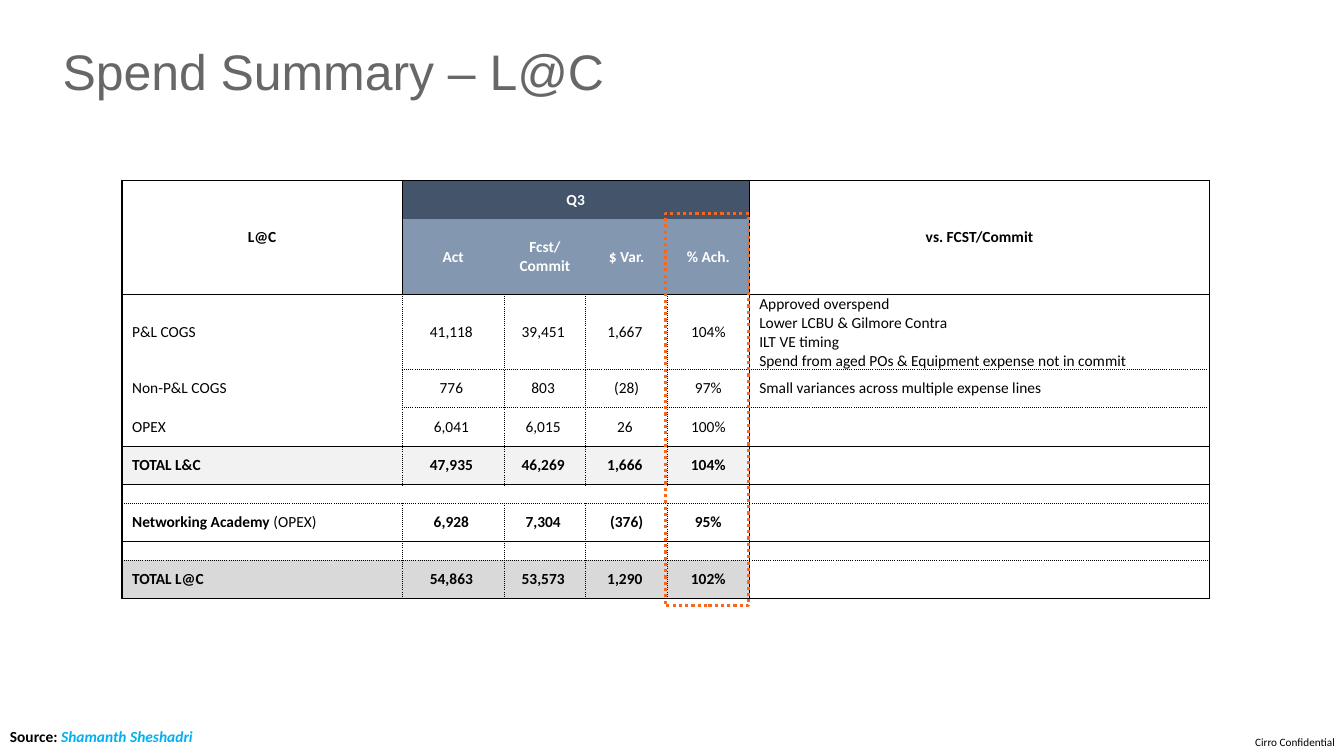
import pptx
import pptx.util
import pptx.dml.color
import pptx.enum.dml
import pptx.enum.shapes
import pptx.enum.text
import pptx.oxml.ns
import lxml.etree

COLORS = {
    "black": "000000", "white": "FFFFFF", "title": "676767", "navy": "44546A",
    "slate": "8497B0", "light": "F2F2F2", "grey": "D9D9D9",
    "orange": "FA661C", "cyan": "00B0F0",
}
ALIGN = pptx.enum.text.PP_ALIGN
ANCHOR = pptx.enum.text.MSO_ANCHOR

COLUMNS = [20.85, 7.58, 6.08, 6.08, 6.08, 34.28]
HEIGHTS = [5.1, 10, 9.87, 5.1, 5.1, 5.1, 2.5, 5, 2.5, 5.1]
OVERSPEND = ("Approved overspend\nLower LCBU & Gilmore Contra\nILT VE timing\n"
             "Spend from aged POs & Equipment expense not in commit")
BLANK = [""] * 6
SPEND = [
    ["L@C", "Q3", "", "", "", "vs. FCST/Commit"],
    ["", "Act", "Fcst/\vCommit", "$ Var.", "% Ach.", ""],
    ["P&L COGS", "41,118 ", "39,451 ", "1,667 ", "104%", OVERSPEND],
    ["Non-P&L COGS", "776 ", "803 ", "(28)", "97%",
     "Small variances across multiple expense lines"],
    ["OPEX", "6,041 ", "6,015 ", "26 ", "100%", ""],
    ["TOTAL L&C", "47,935 ", "46,269 ", "1,666 ", "104%", ""],
    BLANK,
    [[("Networking Academy", {}), (" (OPEX)", {"bold": False})],
     "6,928 ", "7,304 ", "(376)", "95%", ""],
    BLANK,
    ["TOTAL L@C", "54,863 ", "53,573 ", "1,290 ", "102%", ""],
]
MERGES = [((0, 0), (1, 0)), ((0, 1), (0, 4)), ((0, 5), (1, 5))]
ROW_FILLS = {0: "navy", 1: "slate", 5: "light", 9: "grey"}
BOLD_ROWS = {0, 1, 5, 7, 9}
SOLID, THIN, DOTTED = (1, "solid"), (0.5, "solid"), (0.5, "sysDot")
LEVELS = [SOLID, None, SOLID, DOTTED, DOTTED, THIN, SOLID, DOTTED, THIN, DOTTED, SOLID]


def level_rule(edge, column):
    return None if edge in (3, 4) and column == 0 else LEVELS[edge]


def upright_rule(row, edge):
    if edge in (0, 5, 6):
        return SOLID
    if row < 2:
        return SOLID if edge == 1 else None
    return None if row == 6 else DOTTED


def write(frame, text, *, size=11, font="Calibri", color="black", bold=False,
          italic=False, align=ALIGN.LEFT, anchor=ANCHOR.TOP, margins=(0, 0, 0, 0),
          spacing=None, wrap=True):
    frame.word_wrap = wrap
    frame.vertical_anchor = anchor
    (frame.margin_left, frame.margin_top, frame.margin_right,
     frame.margin_bottom) = [pptx.util.Inches(margin) for margin in margins]
    lines = [text] if isinstance(text, list) else [[(line, {})] for line in text.split("\n")]
    for index, line in enumerate(lines):
        para = frame.add_paragraph() if index else frame.paragraphs[0]
        para.alignment = align
        para.line_spacing = spacing
        for words, changes in line:
            look = {"bold": bold, "italic": italic, "color": color, **changes}
            for part, piece in enumerate(words.split("\v")):
                if part:
                    para.add_line_break()
                span = para.add_run()
                span.text = piece
                span.font.name = font
                span.font.size = pptx.util.Pt(size)
                span.font.bold = look["bold"]
                span.font.italic = look["italic"]
                span.font.color.rgb = pptx.dml.color.RGBColor.from_string(COLORS[look["color"]])


def draw_border(cell, side, rule):
    properties = cell._tc.get_or_add_tcPr()
    name = pptx.oxml.ns.qn
    line = lxml.etree.SubElement(properties, name("a:" + side))
    if rule is None:
        lxml.etree.SubElement(line, name("a:noFill"))
        return
    width, dash = rule
    line.set("w", str(int(pptx.util.Pt(width))))
    fill = lxml.etree.SubElement(line, name("a:solidFill"))
    lxml.etree.SubElement(fill, name("a:srgbClr"), val=COLORS["black"])
    lxml.etree.SubElement(line, name("a:prstDash"), val=dash)


class SlideBuilder:
    def __init__(self, deck):
        self.deck = deck
        self.slide = deck.slides.add_slide(deck.slide_layouts[5])

    def across(self, columns):
        return round(self.deck.slide_width * columns / 100)

    def down(self, rows):
        return round(self.deck.slide_height * rows / 100)

    def area(self, left, top, width, height):
        return self.across(left), self.down(top), self.across(width), self.down(height)

    def title(self, text, place, **look):
        box = self.slide.shapes.title
        box.left, box.top, box.width, box.height = self.area(*place)
        box.text_frame.auto_size = pptx.enum.text.MSO_AUTO_SIZE.NONE
        write(box.text_frame, text, **look)

    def text(self, text, place, **look):
        box = self.slide.shapes.add_textbox(*self.area(*place))
        write(box.text_frame, text, **look)

    def highlight(self, place, color, width):
        box = self.slide.shapes.add_shape(
            pptx.enum.shapes.MSO_SHAPE.RECTANGLE, *self.area(*place))
        box.shadow.inherit = False
        box.fill.background()
        box.line.color.rgb = pptx.dml.color.RGBColor.from_string(COLORS[color])
        box.line.width = pptx.util.Pt(width)
        box.line.dash_style = pptx.enum.dml.MSO_LINE.ROUND_DOT

    def spend_table(self, left, top):
        place = self.area(left, top, sum(COLUMNS), sum(HEIGHTS))
        table = self.slide.shapes.add_table(len(HEIGHTS), len(COLUMNS), *place).table
        table.first_row = table.horz_banding = False
        for column, width in zip(table.columns, COLUMNS):
            column.width = self.across(width)
        for row, height in zip(table.rows, HEIGHTS):
            row.height = self.down(height)
        for first, last in MERGES:
            table.cell(*first).merge(table.cell(*last))
        for row, values in enumerate(SPEND):
            for column, value in enumerate(values):
                self.spend_cell(table.cell(row, column), row, column, value)

    def spend_cell(self, cell, row, column, value):
        header, figure = row < 2, 0 < column < 5
        cell.vertical_anchor = ANCHOR.MIDDLE
        write(cell.text_frame, value if value else [],
              color="white" if header and figure else "black",
              bold=row in BOLD_ROWS,
              align=ALIGN.CENTER if header or figure else ALIGN.LEFT)
        cell.margin_left = pptx.util.Inches(0 if header or figure else 0.1)
        cell.margin_top = cell.margin_right = cell.margin_bottom = 0
        cell.vertical_anchor = ANCHOR.MIDDLE
        if not value:
            lxml.etree.SubElement(cell.text_frame.paragraphs[0]._p,
                                  pptx.oxml.ns.qn("a:endParaRPr"), sz="800")
        bottom = row + (cell.span_height if cell.is_merge_origin else 1)
        right = column + (cell.span_width if cell.is_merge_origin else 1)
        draw_border(cell, "lnL", upright_rule(row, column))
        draw_border(cell, "lnR", upright_rule(row, right))
        draw_border(cell, "lnT", level_rule(row, column))
        draw_border(cell, "lnB", level_rule(bottom, column))
        shaded = row in ROW_FILLS and column < 5 and (figure or not header)
        if shaded:
            cell.fill.solid()
            cell.fill.fore_color.rgb = pptx.dml.color.RGBColor.from_string(
                COLORS[ROW_FILLS[row]])
        else:
            cell.fill.background()


def main():
    deck = pptx.Presentation()
    deck.slide_width = pptx.util.Inches(13.33)
    deck.slide_height = pptx.util.Inches(7.5)
    page = SlideBuilder(deck)
    page.text("Cirro Confidential", (93.38, 97.33, 6.3, 1.73), size=8, wrap=False)
    page.spend_table(9.08, 23.87)
    page.title("Spend Summary – L@C", (3.68, 4.93, 95.25, 10.4), size=35.7,
               font="Arial", color="title", anchor=ANCHOR.MIDDLE, spacing=0.8,
               margins=(0.13, 0.07, 0.13, 0.07))
    page.highlight((49.5, 28.27, 6.22, 51.87), "orange", 2.25)
    page.text([("Source: ", {}), ("Shamanth Sheshadri", {"color": "cyan", "italic": True})],
              (0, 95.47, 27.53, 3.87), bold=True, margins=(0.1, 0.05, 0.1, 0.05))
    deck.save("out.pptx")


if __name__ == "__main__":
    main()
